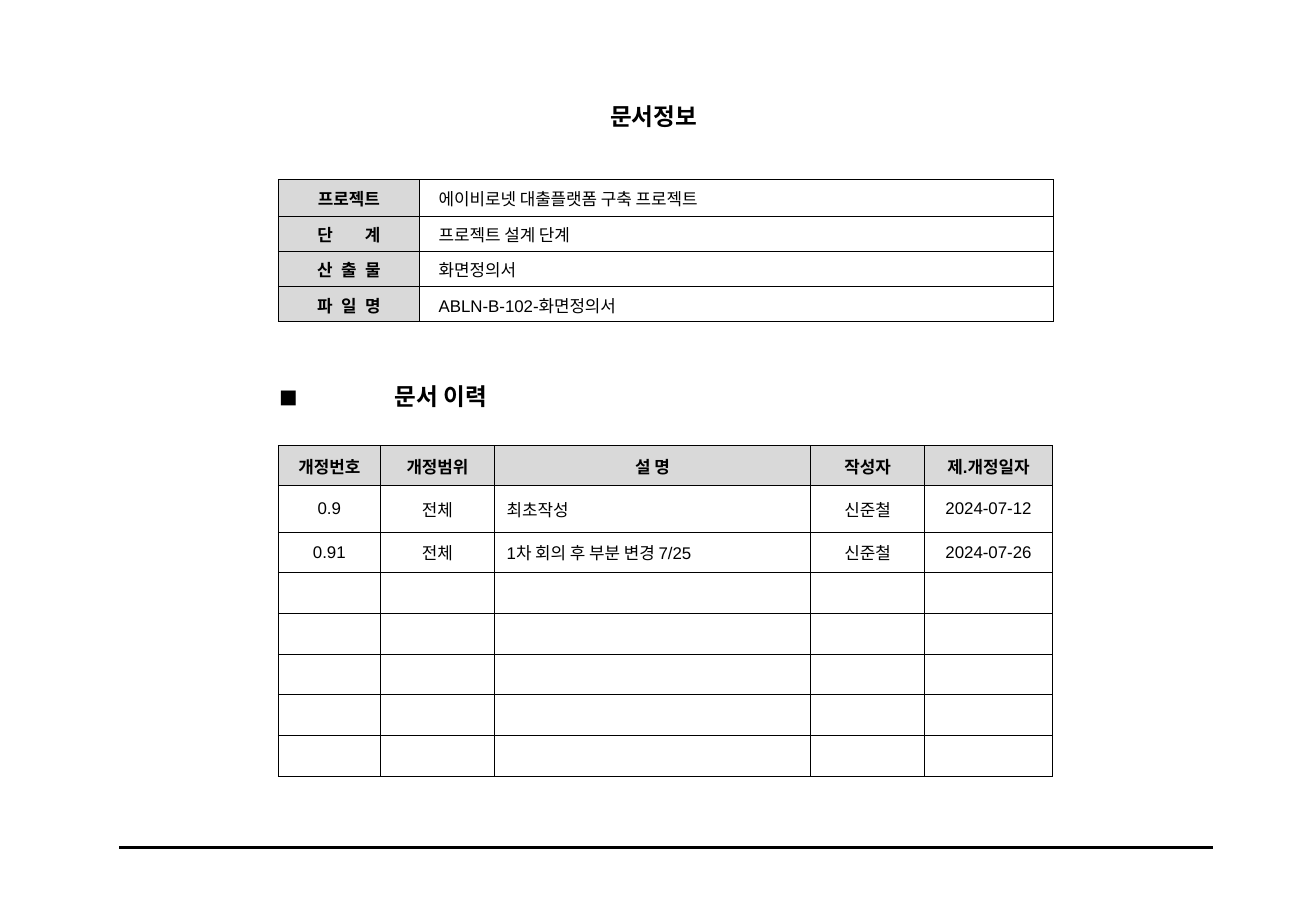
from lxml import etree
from pptx import Presentation
from pptx.dml.color import RGBColor
from pptx.enum import shapes, text
from pptx.oxml import ns
from pptx.util import Inches, Pt

BLACK = RGBColor(0x00, 0x00, 0x00)
LABEL_GREY = RGBColor(0xD9, 0xD9, 0xD9)
LATIN_FONT = "Arial"
HEADING_FONT = "Noto Sans CJK KR"
LEFT, CENTER = text.PP_ALIGN.LEFT, text.PP_ALIGN.CENTER

TABLE_LEFT = 2.29
BODY_SIZE = 10
TIGHT_MARGINS = (0.01, 0.01, 0.01, 0)
VALUE_MARGINS = (0.16, 0.01, 0.01, 0)
HISTORY_MARGINS = (0.1, 0.05, 0.1, 0.05)

PROJECT_COLUMNS = [1.16, 5.22]
PROJECT_ROWS = [0.3, 0.29, 0.29, 0.29]
# label, extra width of each gap in points, value
PROJECT_INFO = [
    ("프로젝트", 0, "에이비로넷 대출플랫폼 구축 프로젝트"),
    ("단 계", 16.7, "프로젝트 설계 단계"),
    ("산 출 물", 2.8, "화면정의서"),
    ("파 일 명", 2.8, "ABLN-B-102-화면정의서"),
]

HISTORY_COLUMNS = [0.84, 0.94, 2.6, 0.94, 1.05]
HISTORY_HEIGHT = 2.72
HEADER_HEIGHT, FIRST_HEIGHT = 0.33, 0.38
EMPTY_ROWS = 5
DESCRIPTION = 2
HISTORY = [
    ("개정번호", "개정범위", "설 명", "작성자", "제.개정일자"),
    ("0.9", "전체", "최초작성", "신준철", "2024-07-12"),
    ("0.91", "전체", "1차 회의 후 부분 변경 7/25", "신준철", "2024-07-26"),
] + [("",) * len(HISTORY_COLUMNS)] * EMPTY_ROWS


def add_grid(page, left, top, columns, rows):
    frame = page.shapes.add_table(
        len(rows), len(columns), Inches(left), Inches(top),
        Inches(sum(columns)), Inches(sum(rows)))
    grid = frame.table
    grid.first_row = grid.horz_banding = False
    for column, width in zip(grid.columns, columns):
        column.width = Inches(width)
    for row, height in zip(grid.rows, rows):
        row.height = Inches(height)
    return grid


def add_borders(cell):
    properties = cell._tc.get_or_add_tcPr()
    for position, side in enumerate(("lnL", "lnR", "lnT", "lnB")):
        line = etree.Element(ns.qn(f"a:{side}"), w=str(Pt(0.5)))
        fill = etree.SubElement(line, ns.qn("a:solidFill"))
        etree.SubElement(fill, ns.qn("a:srgbClr"), val=str(BLACK))
        properties.insert(position, line)


def write_cell(cell, words, align, margins, bold=False, size=BODY_SIZE,
               latin=LATIN_FONT, gap=0):
    cell.vertical_anchor = text.MSO_ANCHOR.MIDDLE
    left, top, right, bottom = map(Inches, margins)
    cell.margin_left, cell.margin_top = left, top
    cell.margin_right, cell.margin_bottom = right, bottom
    cell.fill.background()
    para = cell.text_frame.paragraphs[0]
    # A widened space keeps the label letters evenly apart
    pieces = words.replace(" ", "| |").split("|") if gap else [words]
    for piece in filter(None, pieces):
        span = para.add_run()
        span.text = piece
        if piece == " ":
            span.font._element.set("spc", str(round(gap * 100)))
    para.alignment = align
    font = para.font
    font.size, font.bold, font.name = Pt(size), bold, latin
    font.color.rgb = BLACK
    if not words:
        etree.SubElement(para._p, ns.qn("a:endParaRPr"), sz=str(size * 100))


def write_label(cell, words, margins, gap=0):
    write_cell(cell, words, CENTER, margins, bold=True, gap=gap)
    cell.fill.solid()
    cell.fill.fore_color.rgb = LABEL_GREY


def add_heading(page, words, left, top, width, height, size=14, align=LEFT):
    grid = add_grid(page, left, top, [width], [height])
    write_cell(grid.cell(0, 0), words, align, TIGHT_MARGINS, bold=True,
               size=size, latin=HEADING_FONT)


def add_project_table(page):
    grid = add_grid(page, TABLE_LEFT, 1.48, PROJECT_COLUMNS, PROJECT_ROWS)
    for row, (label, gap, value) in enumerate(PROJECT_INFO):
        write_label(grid.cell(row, 0), label, TIGHT_MARGINS, gap)
        write_cell(grid.cell(row, 1), value, LEFT, VALUE_MARGINS)
    for cell in grid.iter_cells():
        add_borders(cell)


def add_history_table(page):
    others = len(HISTORY) - 2
    height = (HISTORY_HEIGHT - HEADER_HEIGHT - FIRST_HEIGHT) / others
    rows = [HEADER_HEIGHT, FIRST_HEIGHT] + [height] * others
    grid = add_grid(page, TABLE_LEFT, 3.67, HISTORY_COLUMNS, rows)
    for column, words in enumerate(HISTORY[0]):
        write_label(grid.cell(0, column), words, HISTORY_MARGINS)
    for row, entry in enumerate(HISTORY[1:], start=1):
        for column, words in enumerate(entry):
            align = LEFT if column == DESCRIPTION else CENTER
            write_cell(grid.cell(row, column), words, align, HISTORY_MARGINS)
    for cell in grid.iter_cells():
        add_borders(cell)


def add_footer_line(page):
    line = page.shapes.add_connector(
        shapes.MSO_CONNECTOR.STRAIGHT,
        Inches(0.98), Inches(6.98), Inches(9.98), Inches(6.98))
    line.line.color.rgb = BLACK
    line.line.width = Pt(1.75)
    etree.SubElement(line._element.spPr, ns.qn("a:effectLst"))


def main():
    deck = Presentation()
    deck.slide_width, deck.slide_height = Inches(10.83), Inches(7.5)
    page = deck.slides.add_slide(deck.slide_layouts[6])

    # Footer rule
    add_footer_line(page)

    # Document information
    add_project_table(page)
    add_heading(page, "문서정보", 3.15, 0.7, 4.46, 0.48, align=CENTER)

    # Revision history
    add_heading(page, "문서 이력", 3.24, 2.95, 4.46, 0.59)
    add_heading(page, "■", TABLE_LEFT, 3.04, 0.59, 0.45, size=11)
    add_history_table(page)

    deck.save("out.pptx")


if __name__ == "__main__":
    main()
